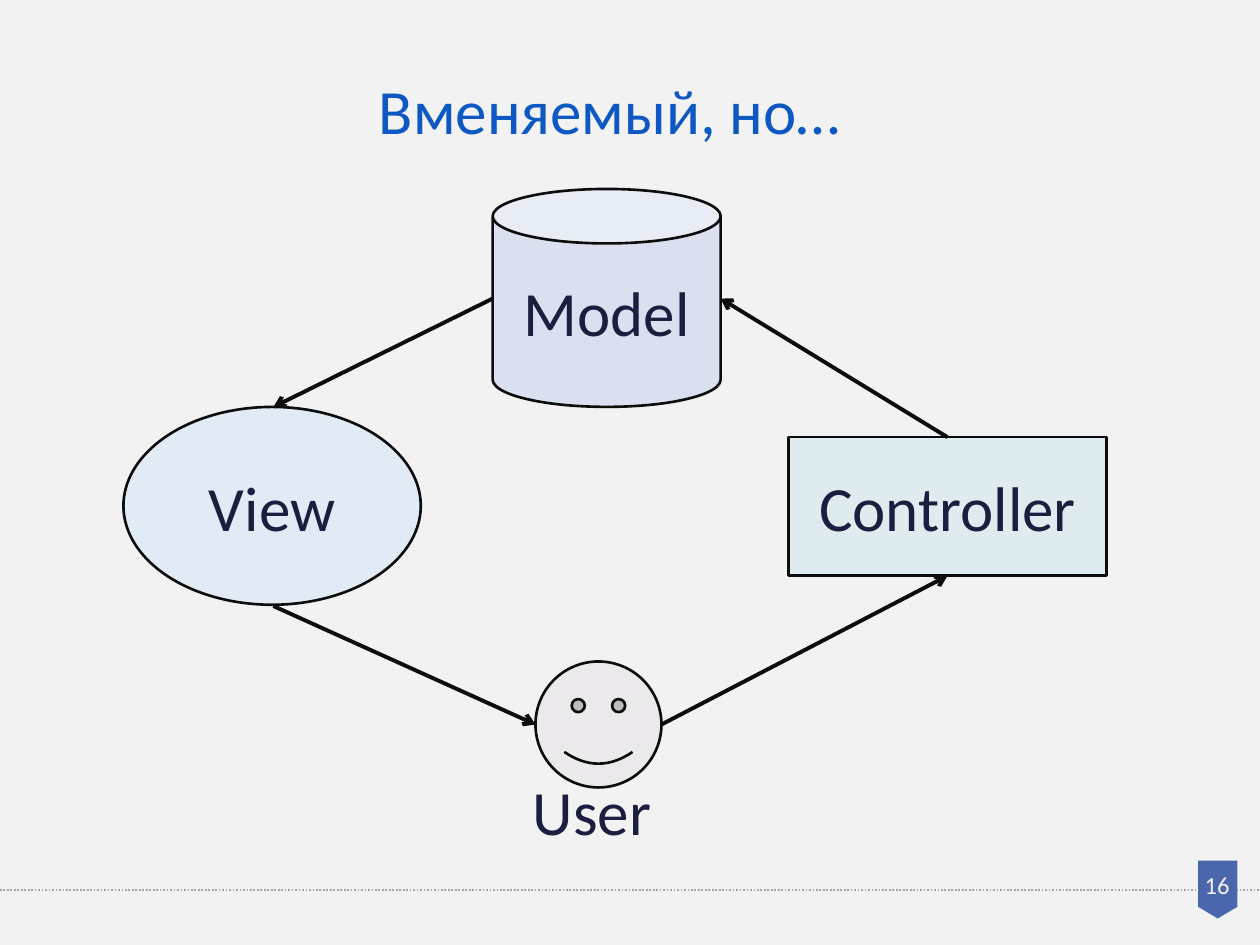
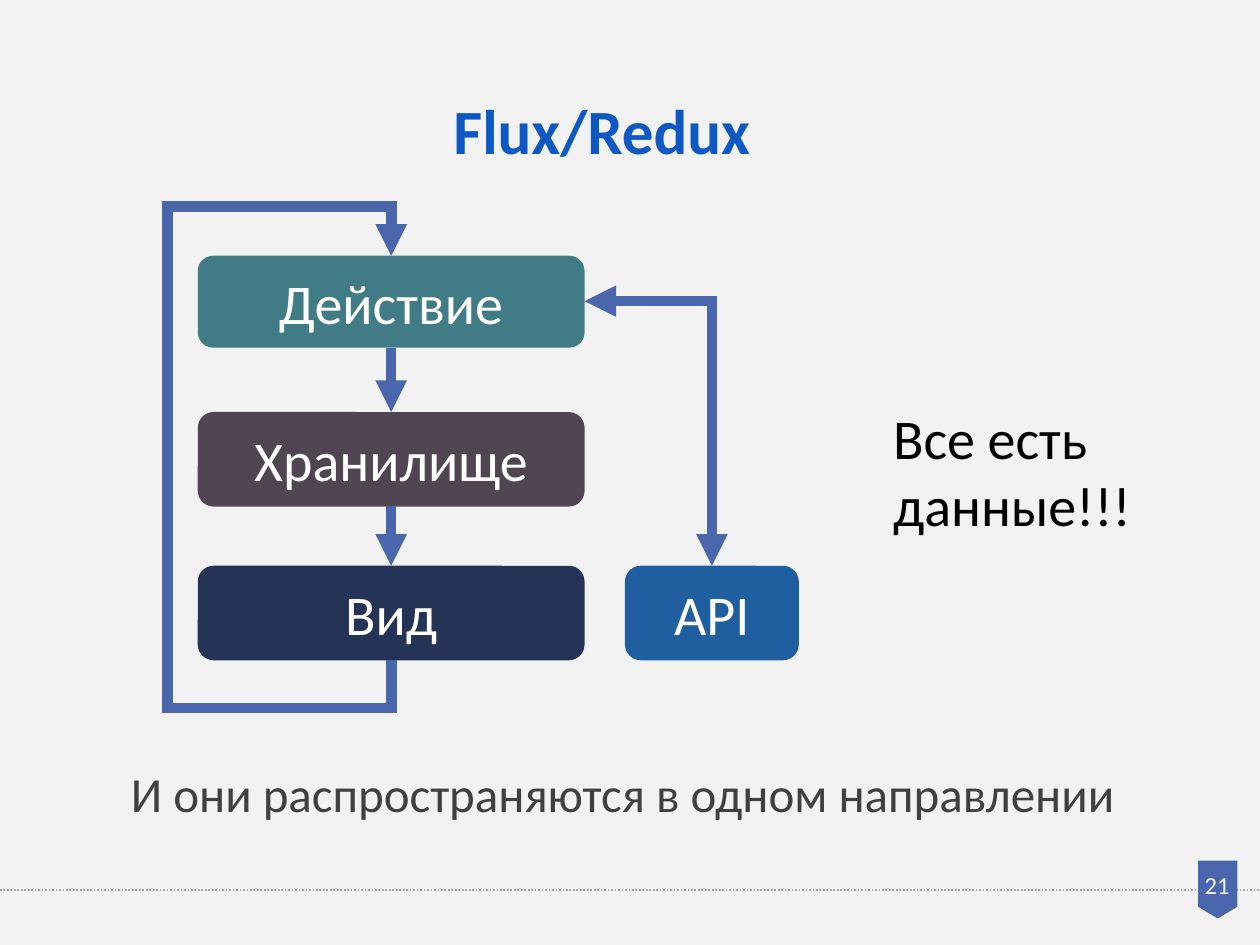
from lxml import etree
from pptx import Presentation
from pptx.dml.color import RGBColor
from pptx.enum.dml import MSO_LINE
from pptx.enum.shapes import MSO_CONNECTOR, MSO_SHAPE
from pptx.enum.text import MSO_ANCHOR, PP_ALIGN
from pptx.oxml.ns import qn
from pptx.util import Inches, Pt

FONT = "Calibri"
PAPER = RGBColor(0xF2, 0xF2, 0xF2)
RULE = RGBColor(0xA6, 0xA6, 0xA6)
ACCENT = RGBColor(0x4A, 0x66, 0xAC)
TITLE = RGBColor(0x0E, 0x58, 0xC4)
INK = RGBColor(0x0D, 0x0D, 0x0D)
NAVY = RGBColor(0x1B, 0x1E, 0x3E)
GREY = RGBColor(0x40, 0x40, 0x40)
BLACK = RGBColor(0x00, 0x00, 0x00)
WHITE = RGBColor(0xFF, 0xFF, 0xFF)
MODEL_FILL = RGBColor(0xDA, 0xE0, 0xEF)
VIEW_FILL = RGBColor(0xE0, 0xEB, 0xF6)
CONTROLLER_FILL = RGBColor(0xDE, 0xEC, 0xEF)
USER_FILL = RGBColor(0xEB, 0xE9, 0xEC)
ACTION_FILL = RGBColor(0x41, 0x7B, 0x85)
STORE_FILL = RGBColor(0x50, 0x46, 0x52)
VIEW_DARK_FILL = RGBColor(0x25, 0x33, 0x56)
API_FILL = RGBColor(0x1F, 0x5F, 0xA0)

# Grid of 100 columns by 75 rows
deck = Presentation()
deck.slide_width, deck.slide_height = Inches(10), Inches(7.5)
CELL = deck.slide_width / 100


def write(holder, text, size=36, color=NAVY, align=PP_ALIGN.CENTER,
          anchor=MSO_ANCHOR.MIDDLE, bold=False, spacing=None):
    frame = holder.text_frame
    frame.word_wrap = True
    frame.vertical_anchor = anchor
    paragraph = frame.paragraphs[0]
    paragraph.alignment = align
    paragraph.line_spacing = spacing
    run = paragraph.add_run()
    run.text = text
    run.font.name, run.font.size = FONT, Pt(size)
    run.font.bold, run.font.color.rgb = bold, color


def draw_path(slide, points, color, width, head=None, tail=None):
    """Straight connector for two points, open bent path for more."""
    spots = [(round(x * CELL), round(y * CELL)) for x, y in points]
    if len(spots) == 2:
        path = slide.shapes.add_connector(MSO_CONNECTOR.STRAIGHT, *spots[0], *spots[1])
    else:
        builder = slide.shapes.build_freeform(*spots[0], scale=1.0)
        builder.add_line_segments(spots[1:], close=False)
        path = builder.convert_to_shape()
        path.fill.background()
    path.line.color.rgb, path.line.width = color, Pt(width)
    properties = path._element.spPr
    outline = properties.find(qn("a:ln"))
    etree.SubElement(outline, qn("a:miter"), lim="800000")
    for end, kind in (("a:headEnd", head), ("a:tailEnd", tail)):
        if kind:
            etree.SubElement(outline, qn(end), type=kind)
    etree.SubElement(properties, qn("a:effectLst"))
    return path


# Shared background, footer rule, page badge and title
headings = [
    ("16", "Вменяемый, но…", (6.7, 2.2, 83.4, 9), PP_ALIGN.CENTER, False),
    ("21", "Flux/Redux", (35, 3.8, 49.5, 9.2), PP_ALIGN.LEFT, True),
]
slides = []
for number, heading, place, align, bold in headings:
    slide = deck.slides.add_slide(deck.slide_layouts[6])
    slide.background.fill.solid()
    slide.background.fill.fore_color.rgb = PAPER
    footer_rule = draw_path(slide, [(0, 70.65), (100, 70.65)], RULE, 1)
    footer_rule.line.dash_style = MSO_LINE.ROUND_DOT
    badge = slide.shapes.add_shape(MSO_SHAPE.FLOWCHART_OFFPAGE_CONNECTOR,
                                   *[round(v * CELL) for v in (95.1, 68.3, 3.1, 4.6)])
    badge.shadow.inherit = False
    badge.fill.solid()
    badge.fill.fore_color.rgb = ACCENT
    badge.line.fill.background()
    page = slide.shapes.add_textbox(*[round(v * CELL) for v in (94.4, 68.8, 4.4, 3.1)])
    write(page, number, size=14, color=PAPER, anchor=MSO_ANCHOR.TOP, spacing=0.9)
    title = slide.shapes.add_textbox(*[round(v * CELL) for v in place])
    write(title, heading, color=TITLE, align=align, anchor=MSO_ANCHOR.TOP,
          bold=bold, spacing=1.5)
    slides.append(slide)
mvc, flux = slides

# Nodes of both diagrams
box_left, box_width, box_height = 15.7, 30.7, 7.5
api_left, api_width = 49.6, 13.8
action_top, store_top, view_top = 20.3, 32.7, 44.9
rounded = MSO_SHAPE.ROUNDED_RECTANGLE
nodes = [
    (mvc, MSO_SHAPE.CAN, (39.1, 15, 18.1, 17.3), MODEL_FILL, "Model"),
    (mvc, MSO_SHAPE.OVAL, (9.8, 32.3, 23.6, 15.7), VIEW_FILL, "View"),
    (mvc, MSO_SHAPE.RECTANGLE, (62.6, 34.7, 25.2, 11), CONTROLLER_FILL, "Controller"),
    (mvc, MSO_SHAPE.SMILEY_FACE, (42.5, 52.5, 10, 10), USER_FILL, ""),
    (flux, rounded, (box_left, action_top, box_width, 7.3), ACTION_FILL, "Действие"),
    (flux, rounded, (box_left, store_top, box_width, box_height), STORE_FILL, "Хранилище"),
    (flux, rounded, (box_left, view_top, box_width, box_height), VIEW_DARK_FILL, "Вид"),
    (flux, rounded, (api_left, view_top, api_width, box_height), API_FILL, "API"),
]
for slide, outline, place, fill, label in nodes:
    node = slide.shapes.add_shape(outline, *[round(v * CELL) for v in place])
    node.shadow.inherit = False
    node.fill.solid()
    node.fill.fore_color.rgb = fill
    if slide is mvc:
        node.line.color.rgb, node.line.width = INK, Pt(1.5)
    else:
        node.line.fill.background()
    if label:
        write(node, label, size=36 if slide is mvc else 32,
              color=NAVY if slide is mvc else WHITE)

# Cycle between model, view, user and controller
view_x, controller_x, model_y, user_y = 21.7, 75.2, 23.7, 57.5
for start, end in [
    ((39.1, model_y), (view_x, 32.3)),
    ((52.5, user_y), (controller_x, 45.7)),
    ((view_x, 48.1), (42.5, user_y)),
    ((controller_x, 34.7), (57.2, model_y)),
]:
    draw_path(mvc, [start, end], INK, 2.25, tail="arrow")

# One-way data flow and the two-way link to the API
middle = box_left + box_width / 2
box_right = box_left + box_width
api_middle = api_left + api_width / 2
loop_left, loop_top, loop_bottom, link_y = 13.3, 16.4, 56.2, 23.9
view_bottom = view_top + box_height
for points, head in [
    ([(middle, 27.6), (middle, store_top)], None),
    ([(middle, store_top + box_height), (middle, view_top)], None),
    ([(middle, view_bottom), (middle, loop_bottom), (loop_left, loop_bottom),
      (loop_left, loop_top), (middle, loop_top), (middle, action_top)], None),
    ([(box_right, link_y), (api_middle, link_y), (api_middle, view_top)], "triangle"),
]:
    draw_path(flux, points, ACCENT, 6, head=head, tail="triangle")

# Captions
for slide, text, place, size, color, align in [
    (mvc, "User", (41.3, 60.8, 13.3, 7.1), 36, NAVY, PP_ALIGN.LEFT),
    (flux, "Все есть данные!!!", (69.9, 31.5, 30, 11.8), 32, BLACK, PP_ALIGN.LEFT),
    (flux, "И они распространяются в одном направлении",
     (0, 60.1, 98.8, 5.7), 28, GREY, PP_ALIGN.CENTER),
]:
    caption = slide.shapes.add_textbox(*[round(v * CELL) for v in place])
    write(caption, text, size=size, color=color, align=align, anchor=MSO_ANCHOR.TOP)

deck.save("out.pptx")
